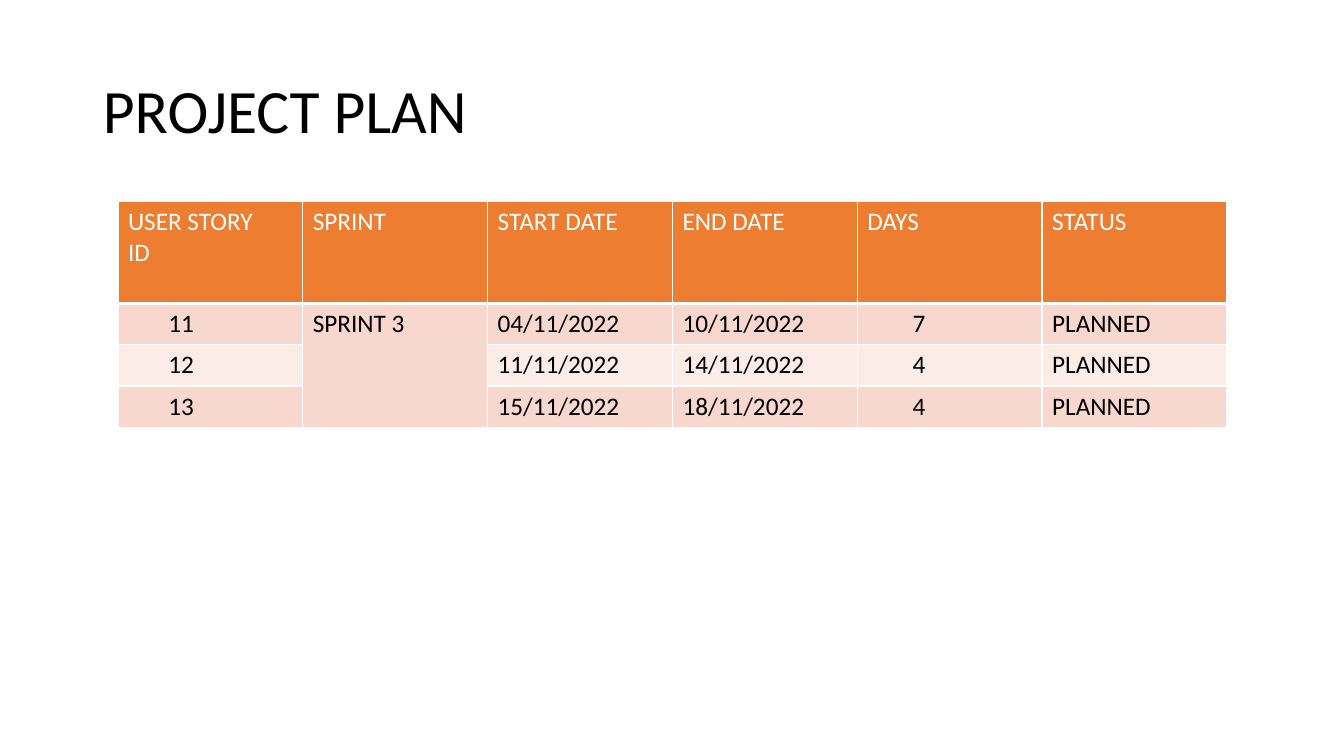
from dataclasses import dataclass

from lxml.etree import SubElement
from pptx import Presentation
from pptx.dml.color import RGBColor
from pptx.enum.text import MSO_ANCHOR, PP_ALIGN
from pptx.oxml.ns import qn
from pptx.util import Inches, Pt

TITLE = "PROJECT PLAN"
HEADERS = ["USER STORY\nID", "SPRINT", "START DATE", "END DATE", "DAYS", "STATUS"]
STORIES = [
    ("11", "SPRINT 3", "04/11/2022", "10/11/2022", "7", "PLANNED"),
    ("12", "", "11/11/2022", "14/11/2022", "4", "PLANNED"),
    ("13", "", "15/11/2022", "18/11/2022", "4", "PLANNED"),
]
SPRINT_COLUMN = 1
NUMBER_MARGINS = {0: 0.5, 4: 0.55}
CELL_MARGIN = 0.1

TABLE_LEFT, TABLE_TOP, TABLE_WIDTH = 1.17, 2, 11
HEADER_HEIGHT, STORY_HEIGHT = 1.01, 0.41


@dataclass(frozen=True)
class Theme:
    """Colours, font and type sizes of the slide."""
    font: str = "Calibri"
    title_size: int = 44
    table_size: int = 18
    text: str = "000000"
    header_text: str = "FFFFFF"
    header_fill: str = "ED7D31"
    bands: tuple = ("F8D7CE", "FCECE8")
    border: str = "FFFFFF"
    border_width: int = 1
    header_rule: int = 3


THEME = Theme()


def add_run(paragraph, text, size, color):
    """Add one formatted run to a paragraph."""
    run = paragraph.add_run()
    run.text = text
    run.font.name = THEME.font
    run.font.size = Pt(size)
    run.font.bold = False
    run.font.color.rgb = RGBColor.from_string(color)


def add_borders(cell, top_width, bottom_width):
    """Draw the four borders of a cell."""
    properties = cell._tc.get_or_add_tcPr()
    widths = {"L": THEME.border_width, "R": THEME.border_width,
              "T": top_width, "B": bottom_width}
    for side, width in widths.items():
        line = SubElement(properties, qn(f"a:ln{side}"), w=str(Pt(width)))
        fill = SubElement(line, qn("a:solidFill"))
        SubElement(fill, qn("a:srgbClr"), val=THEME.border)


def format_cell(cell, text, row, column):
    """Fill, border and write one table cell."""
    is_header = row == 0
    add_borders(cell,
                THEME.header_rule if row == 1 else THEME.border_width,
                THEME.header_rule if is_header else THEME.border_width)
    band = THEME.bands[(row - 1) % len(THEME.bands)]
    cell.fill.solid()
    cell.fill.fore_color.rgb = RGBColor.from_string(
        THEME.header_fill if is_header else band)
    margin = CELL_MARGIN if is_header else NUMBER_MARGINS.get(column, CELL_MARGIN)
    cell.margin_left = Inches(margin)
    if not text:
        return
    frame = cell.text_frame
    for index, line in enumerate(text.split("\n")):
        paragraph = frame.add_paragraph() if index else frame.paragraphs[0]
        add_run(paragraph, line, THEME.table_size,
                THEME.header_text if is_header else THEME.text)


def add_title(slide):
    """Place and write the slide title."""
    title = slide.shapes.title
    title.left, title.top = Inches(0.92), Inches(0.4)
    title.width, title.height = Inches(11.5), Inches(1.45)
    title.text_frame.vertical_anchor = MSO_ANCHOR.MIDDLE
    paragraph = title.text_frame.paragraphs[0]
    paragraph.alignment = PP_ALIGN.LEFT
    paragraph.line_spacing = 0.9
    add_run(paragraph, TITLE, THEME.title_size, THEME.text)


def add_plan_table(slide):
    """Build the table of user stories."""
    rows = [HEADERS, *STORIES]
    height = HEADER_HEIGHT + STORY_HEIGHT * len(STORIES)
    table = slide.shapes.add_table(
        len(rows), len(HEADERS), Inches(TABLE_LEFT), Inches(TABLE_TOP),
        Inches(TABLE_WIDTH), Inches(height)).table
    for column in table.columns:
        column.width = Inches(TABLE_WIDTH / len(HEADERS))
    for row_index, values in enumerate(rows):
        table.rows[row_index].height = Inches(STORY_HEIGHT if row_index else HEADER_HEIGHT)
        for column_index, text in enumerate(values):
            format_cell(table.cell(row_index, column_index), text, row_index, column_index)
    table.cell(1, SPRINT_COLUMN).merge(table.cell(len(STORIES), SPRINT_COLUMN))


presentation = Presentation()
presentation.slide_width, presentation.slide_height = Inches(13.33), Inches(7.5)
plan_slide = presentation.slides.add_slide(presentation.slide_layouts.get_by_name("Title Only"))
add_title(plan_slide)
add_plan_table(plan_slide)
presentation.save("out.pptx")
